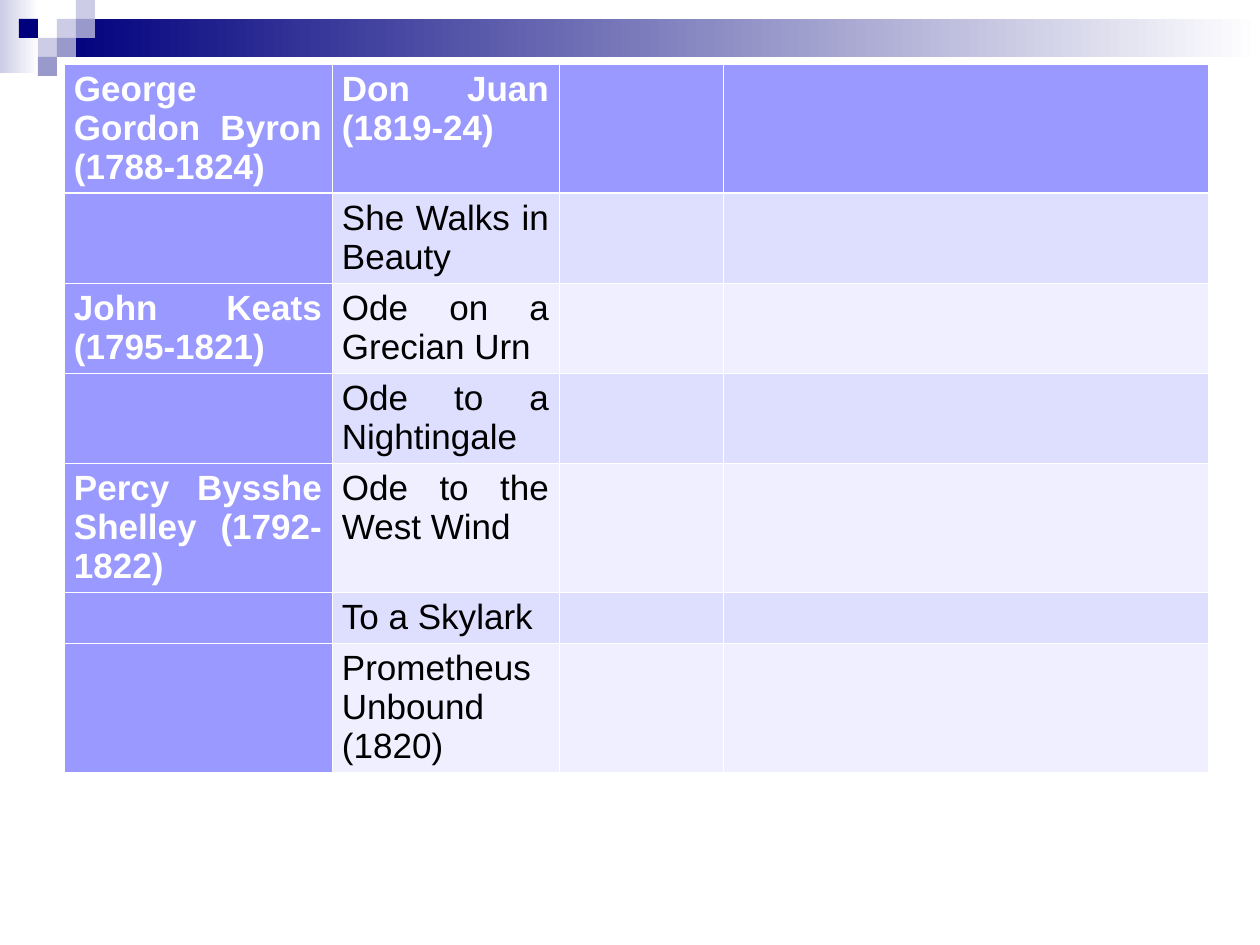
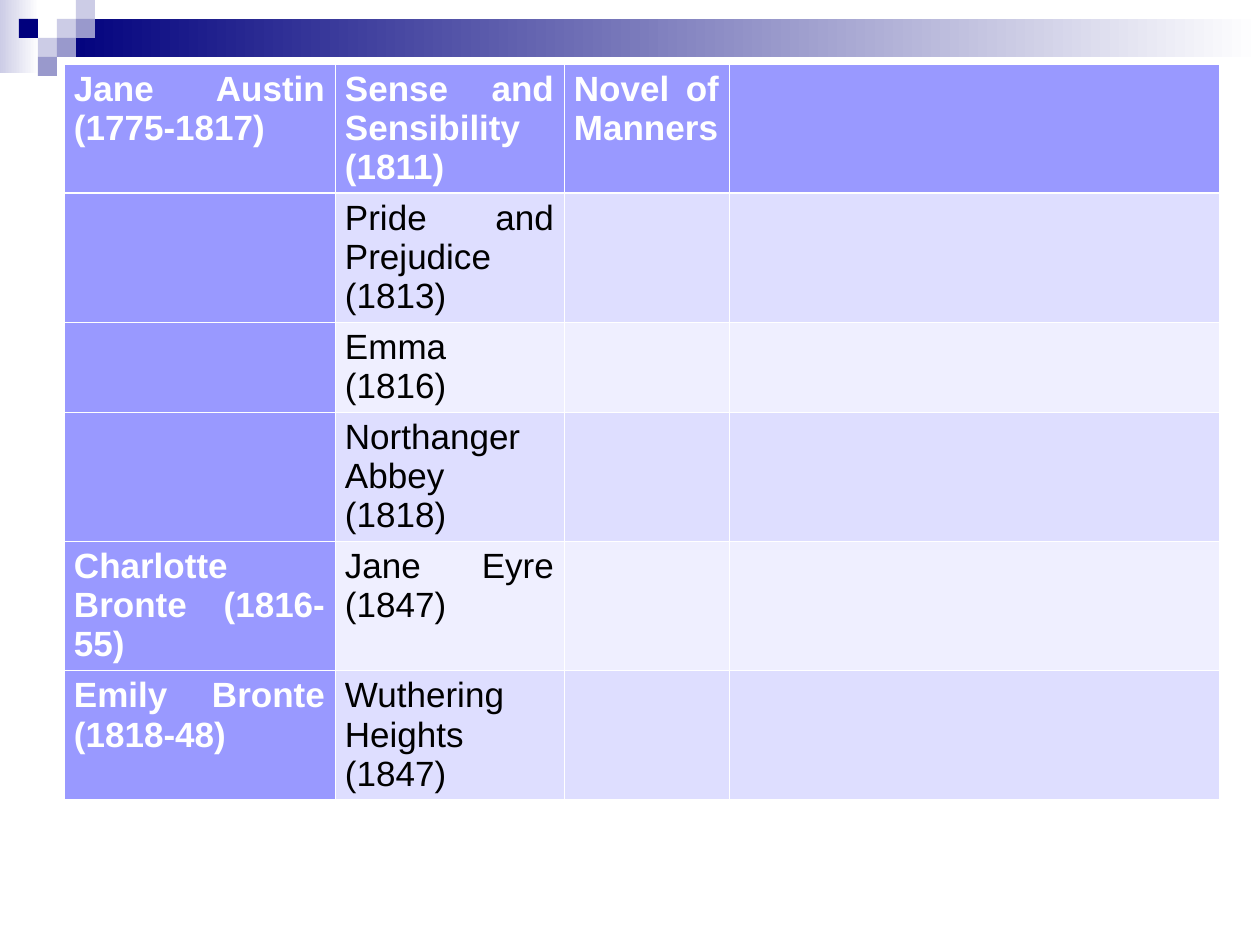
from lxml import etree
from pptx import Presentation
from pptx import util as u
from pptx.dml.color import RGBColor
from pptx.enum import shapes, text
from pptx.oxml.ns import qn

COLORS = {
    "navy": "00007D", "lavender": "CCCCE6", "violet": "9999CC",
    "head": "9999FF", "band_dark": "DEDEFF", "band_light": "EFEFFF",
    "white": "FFFFFF", "black": "000000",
}
FONT, TEXT_PT = "Arial", 20
THIN_PT, THICK_PT = 0.45, 1.47

TABLES = [
    {
        "cols": [268, 227, 164, 485],
        "rows": [
            (126, "George Gordon Byron (1788-1824)", "Don Juan (1819-24)", ""),
            (84, "", "She Walks in Beauty", ""),
            (84, "John Keats (1795-1821)", "Ode on a Grecian Urn", ""),
            (84, "", "Ode to a Nightingale", ""),
            (126, "Percy Bysshe Shelley (1792-1822)", "Ode to the West Wind", ""),
            (42, "", "To a Skylark", ""),
            (126, "", "Prometheus Unbound (1820)", ""),
        ],
    },
    {
        "cols": [271, 229, 165, 490],
        "rows": [
            (127, "Jane Austin (1775-1817)", "Sense and Sensibility (1811)", "Novel of Manners"),
            (128, "", "Pride and Prejudice (1813)", ""),
            (84, "", "Emma (1816)", ""),
            (126, "", "Northanger Abbey (1818)", ""),
            (126, "Charlotte Bronte (1816-55)", "Jane Eyre (1847)", ""),
            (126, "Emily Bronte (1818-48)", "Wuthering Heights (1847)", ""),
        ],
    },
]
TABLE_LEFT, TABLE_TOP = 64, 64
CELL_PAD_X, CELL_PAD_Y = 10, 6

TILE = 19
GRADIENTS = [
    (0, 0, 39, 73, "lavender"),
    (3 * TILE, TILE, 1260 - 3 * TILE, 2 * TILE, "navy"),
]
TILES = [
    (3, 1, "lavender"), (4, 0, "lavender"), (4, 1, "violet"), (2, 2, "lavender"),
    (1, 1, "navy"), (3, 2, "violet"), (2, 3, "violet"),
]


def px(n):
    return u.Emu(round(n * 914400 / 126))


def rgb(name):
    return RGBColor.from_string(COLORS[name])


def add_rect(s, x, y, w, h):
    sp = s.shapes.add_shape(shapes.MSO_SHAPE.RECTANGLE, px(x), px(y), px(w), px(h))
    sp.shadow.inherit = False
    sp.line.fill.background()
    return sp


def add_corner_band(s):
    for x, y, w, h, color in GRADIENTS:
        fill = add_rect(s, x, y, w, h).fill
        fill.gradient()
        fill.gradient_angle = 0
        for stop, name, position in zip(fill.gradient_stops, (color, "white"), (0, 1)):
            stop.color.rgb = rgb(name)
            stop.position = position
    for col, row, color in TILES:
        fill = add_rect(s, col * TILE, row * TILE, TILE, TILE).fill
        fill.solid()
        fill.fore_color.rgb = rgb(color)


def set_borders(cell, row):
    tcPr = cell._tc.get_or_add_tcPr()
    thick_side = {0: "B", 1: "T"}.get(row)
    for side in "LRTB":
        width = THICK_PT if side == thick_side else THIN_PT
        ln = etree.SubElement(tcPr, qn(f"a:ln{side}"), w=str(int(u.Pt(width))))
        fill = etree.SubElement(ln, qn("a:solidFill"))
        etree.SubElement(fill, qn("a:srgbClr"), val=COLORS["white"])


def style_cell(cell, row, col, words):
    is_head = row == 0 or col == 0
    set_borders(cell, row)
    cell.fill.solid()
    cell.fill.fore_color.rgb = rgb("head" if is_head else "band_dark" if row % 2 else "band_light")
    cell.margin_left = cell.margin_right = px(CELL_PAD_X)
    cell.margin_top = cell.margin_bottom = px(CELL_PAD_Y)
    if not words:
        return
    p = cell.text_frame.paragraphs[0]
    p.text = words
    p.alignment = text.PP_ALIGN.JUSTIFY
    font = p.runs[0].font
    font.name, font.size, font.bold = FONT, u.Pt(TEXT_PT), is_head
    font.color.rgb = rgb("white" if is_head else "black")


def add_works_table(s, cols, rows):
    height = sum(row[0] for row in rows)
    table = s.shapes.add_table(len(rows), len(cols), px(TABLE_LEFT), px(TABLE_TOP),
                               px(sum(cols)), px(height)).table
    table.first_col = True
    table.horz_banding = False
    for col, width in enumerate(cols):
        table.columns[col].width = px(width)
    for i, (row_height, *words) in enumerate(rows):
        table.rows[i].height = px(row_height)
        for j, entry in enumerate(words + [""]):
            style_cell(table.cell(i, j), i, j, entry)


def main():
    prs = Presentation()
    prs.slide_width, prs.slide_height = px(1260), px(945)
    for content in TABLES:
        s = prs.slides.add_slide(prs.slide_layouts[6])
        add_corner_band(s)
        add_works_table(s, **content)
    prs.save("out.pptx")


if __name__ == "__main__":
    main()
